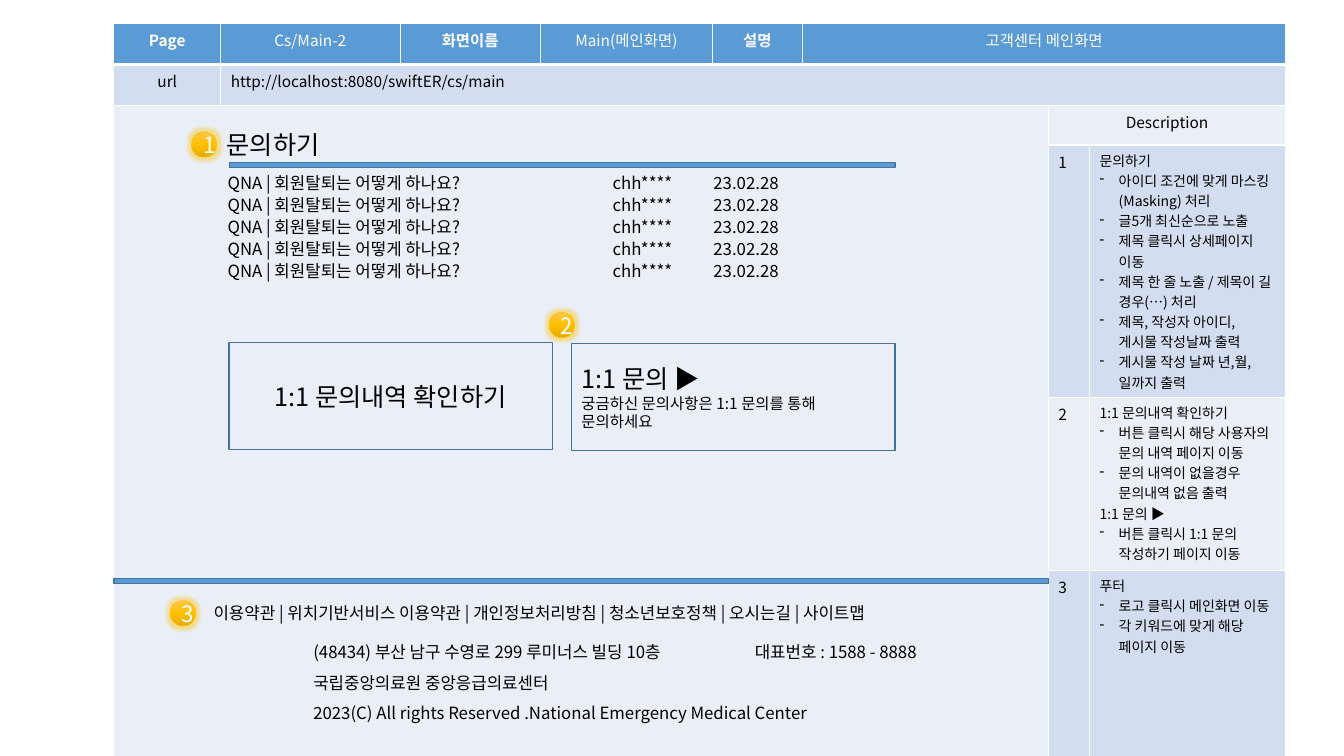
from lxml.etree import SubElement
from pptx import Presentation
from pptx.dml.color import RGBColor
from pptx.enum.shapes import MSO_SHAPE as Shape
from pptx.enum.text import MSO_ANCHOR as Anchor, PP_ALIGN as Align
from pptx.oxml.ns import qn
from pptx.util import Emu, Inches, Pt

FONT = "Noto Sans CJK KR"
COLORS = {
    "blue": "5B9BD5", "edge": "43739E", "band": "D2DEEF", "pale": "EAEFF7",
    "white": "FFFFFF", "black": "000000",
    "gold_light": "FFC64B", "gold": "FFC000", "gold_dark": "E3AB00",
}

COLUMNS = [1.06, 1.78, 1.39, 1.71, 0.89, 2.44, 0.41, 1.95]
ROWS = [0.41, 0.41, 0.39, 2.23, 1.72, 1.91]
TABLE_LEFT, TABLE_TOP = 1.13, 0.23
MERGES = [((0, 5), (0, 7)), ((1, 1), (1, 7)), ((2, 0), (5, 5)), ((2, 6), (2, 7))]
HEADER = ["Page", "Cs/Main-2", "화면이름", "Main(메인화면)", "설명", "고객센터 메인화면"]
URL = "http://localhost:8080/swiftER/cs/main"
# Lines that start with "-" are bulleted.
DESCRIPTIONS = [
    ["문의하기",
     "-아이디 조건에 맞게 마스킹(Masking) 처리",
     "-글5개 최신순으로 노출",
     "-제목 클릭시 상세페이지 이동",
     "-제목 한 줄 노출 / 제목이 길 경우(…) 처리",
     "-제목, 작성자 아이디, 게시물 작성날짜 출력",
     "-게시물 작성 날짜 년,월,일까지 출력"],
    ["1:1 문의내역 확인하기",
     "-버튼 클릭시 해당 사용자의 문의 내역 페이지 이동",
     "-문의 내역이 없을경우 문의내역 없음 출력",
     "1:1 문의 ▶",
     "-버튼 클릭시 1:1 문의 작성하기 페이지 이동"],
    ["푸터",
     "-로고 클릭시 메인화면 이동",
     "-각 키워드에 맞게 해당 페이지 이동"],
]

QUESTION = "QNA | 회원탈퇴는 어떻게 하나요?\tchh****\t23.02.28"
QUESTION_COUNT, QUESTION_TOP, QUESTION_PITCH = 5, 1.66, 0.22
FOOTER_MENU = ["이용약관", "위치기반서비스 이용약관", "개인정보처리방침",
               "청소년보호정책", "오시는길", "사이트맵"]
FOOTER_LINES = [
    "(48434) 부산 남구 수영로 299 루미너스 빌딩 10층\t대표번호 : 1588 - 8888",
    "국립중앙의료원 중앙응급의료센터",
    "2023(C) All rights Reserved .National Emergency Medical Center",
]
BARS = [(2.28, 1.61, 6.6, 0.05), (1.13, 5.74, 9.27, 0.05)]
BUTTONS = [
    ((2.27, 3.4, 3.21, 1.06), Align.CENTER, [("1:1 문의내역 확인하기", 18)]),
    ((5.67, 3.41, 3.21, 1.06), Align.LEFT,
     [("1:1 문의 ▶", 18), ("궁금하신 문의사항은 1:1 문의를 통해 문의하세요", 11)]),
]
BADGES = [("1", 1.9, 1.31), ("2", 5.45, 3.1), ("3", 1.69, 5.96)]
BADGE_SIZE = 0.25


def rgb(name):
    return RGBColor.from_string(COLORS[name])


def write(para, text, size, color="black", bold=False, align=Align.LEFT, tabs=()):
    para.text = text
    para.alignment = align
    if tabs:
        tab_list = SubElement(para._p.get_or_add_pPr(), qn("a:tabLst"))
        for position in tabs:
            SubElement(tab_list, qn("a:tab"), pos=str(Inches(position)), algn="l")
    font = para.font
    font.name, font.size, font.bold = FONT, Pt(size), bold
    font.color.rgb = rgb(color)
    SubElement(font._rPr, qn("a:ea"), typeface=FONT)


def write_lines(frame, lines, **style):
    """Fill a text frame with (text, size) lines."""
    for number, (text, size) in enumerate(lines):
        para = frame.add_paragraph() if number else frame.paragraphs[0]
        write(para, text, size, **style)


def add_text(page, area, lines, wrap=True, **style):
    frame = page.shapes.add_textbox(*map(Inches, area)).text_frame
    frame.word_wrap = wrap
    write_lines(frame, lines, **style)
    return frame


def add_block(page, kind, area, fill, line, width=1):
    block = page.shapes.add_shape(kind, *map(Inches, area))
    block.shadow.inherit = False
    block.fill.solid()
    block.fill.fore_color.rgb = rgb(fill)
    block.line.color.rgb = rgb(line)
    block.line.width = Pt(width)
    block.text_frame.vertical_anchor = Anchor.MIDDLE
    return block


def style_cell(cell, fill, bottom=1):
    properties = cell._tc.get_or_add_tcPr()
    for side, width in (("L", 1), ("R", 1), ("T", 1), ("B", bottom)):
        border = SubElement(properties, qn(f"a:ln{side}"), w=str(Pt(width)))
        solid = SubElement(border, qn("a:solidFill"))
        SubElement(solid, qn("a:srgbClr"), val=COLORS["white"])
    cell.fill.solid()
    cell.fill.fore_color.rgb = rgb(fill)


def write_description(frame, lines):
    for number, line in enumerate(lines):
        para = frame.add_paragraph() if number else frame.paragraphs[0]
        if line.startswith("-"):
            indent = Inches(0.19)
            properties = para._p.get_or_add_pPr()
            properties.set("marL", str(indent))
            properties.set("indent", str(-indent))
            SubElement(properties, qn("a:buChar"), char="-")
        write(para, line.removeprefix("-"), 10)


def add_spec_table(page):
    area = (TABLE_LEFT, TABLE_TOP, sum(COLUMNS), sum(ROWS))
    table = page.shapes.add_table(len(ROWS), len(COLUMNS), *map(Inches, area)).table
    table.first_row = table.horz_banding = False
    for column, width in zip(table.columns, COLUMNS):
        column.width = Inches(width)
    for row, height in zip(table.rows, ROWS):
        row.height = Inches(height)
    for row in range(len(ROWS)):
        for column in range(len(COLUMNS)):
            in_screen = row >= 2 and column < 6
            fill = "blue" if row == 0 else "band" if row % 2 and not in_screen else "pale"
            style_cell(table.cell(row, column), fill, bottom=1 if row else 3)
    for start, end in MERGES:
        table.cell(*start).merge(table.cell(*end))

    def put(row, column, text, **style):
        write(table.cell(row, column).text_frame.paragraphs[0], text, 11, **style)

    for column, text in enumerate(HEADER):
        put(0, column, text, color="white", bold=column % 2 == 0, align=Align.CENTER)
    put(1, 0, "url", align=Align.CENTER)
    put(1, 1, URL)
    put(2, 6, "Description", align=Align.CENTER)
    for number, lines in enumerate(DESCRIPTIONS, start=1):
        put(number + 2, 6, str(number))
        write_description(table.cell(number + 2, 7).text_frame, lines)


def add_badge(page, number, left, top):
    """Add a numbered gold circle with a gradient and a soft glow."""
    area = (left, top, BADGE_SIZE, BADGE_SIZE)
    badge = add_block(page, Shape.OVAL, area, "gold", "gold", 0.5)
    badge.fill.gradient()
    badge.fill.gradient_angle = 270
    properties = badge._element.spPr
    stops = properties.find(qn("a:gradFill")).find(qn("a:gsLst"))
    stops.clear()
    for share, color in ((0, "gold_light"), (50, "gold"), (100, "gold_dark")):
        stop = SubElement(stops, qn("a:gs"), pos=str(share * 1000))
        SubElement(stop, qn("a:srgbClr"), val=COLORS[color])
    glow = SubElement(properties.find(qn("a:effectLst")), qn("a:glow"), rad=str(Pt(5)))
    glow_color = SubElement(glow, qn("a:srgbClr"), val=COLORS["gold"])
    SubElement(glow_color, qn("a:alpha"), val="40000")
    write_lines(badge.text_frame, [(number, 16)], color="white", align=Align.CENTER)


def main():
    deck = Presentation()
    deck.slide_width, deck.slide_height = Emu(12192000), Inches(7.5)
    page = deck.slides.add_slide(deck.slide_layouts[6])

    add_spec_table(page)
    for badge in BADGES:
        add_badge(page, *badge)
    add_text(page, (2.15, 1.23, 1.21, 0.4), [("문의하기", 18)], wrap=False)
    for number in range(QUESTION_COUNT):
        top = QUESTION_TOP + number * QUESTION_PITCH
        add_text(page, (2.16, top, 6.83, 0.3), [(QUESTION, 12)], tabs=(3.82, 4.82))
    for area in BARS:
        add_block(page, Shape.RECTANGLE, area, "blue", "edge")
    add_text(page, (2.02, 5.93, 7.41, 0.3), [(" | ".join(FOOTER_MENU), 12)])
    footer = add_text(page, (3.01, 6.22, 6.97, 1.01),
                      [(line, 12) for line in FOOTER_LINES], tabs=(4.38,))
    for para in footer.paragraphs:
        para.line_spacing = 1.5
    for area, align, lines in BUTTONS:
        button = add_block(page, Shape.RECTANGLE, area, "pale", "edge")
        write_lines(button.text_frame, lines, align=align)

    deck.save("out.pptx")


if __name__ == "__main__":
    main()
